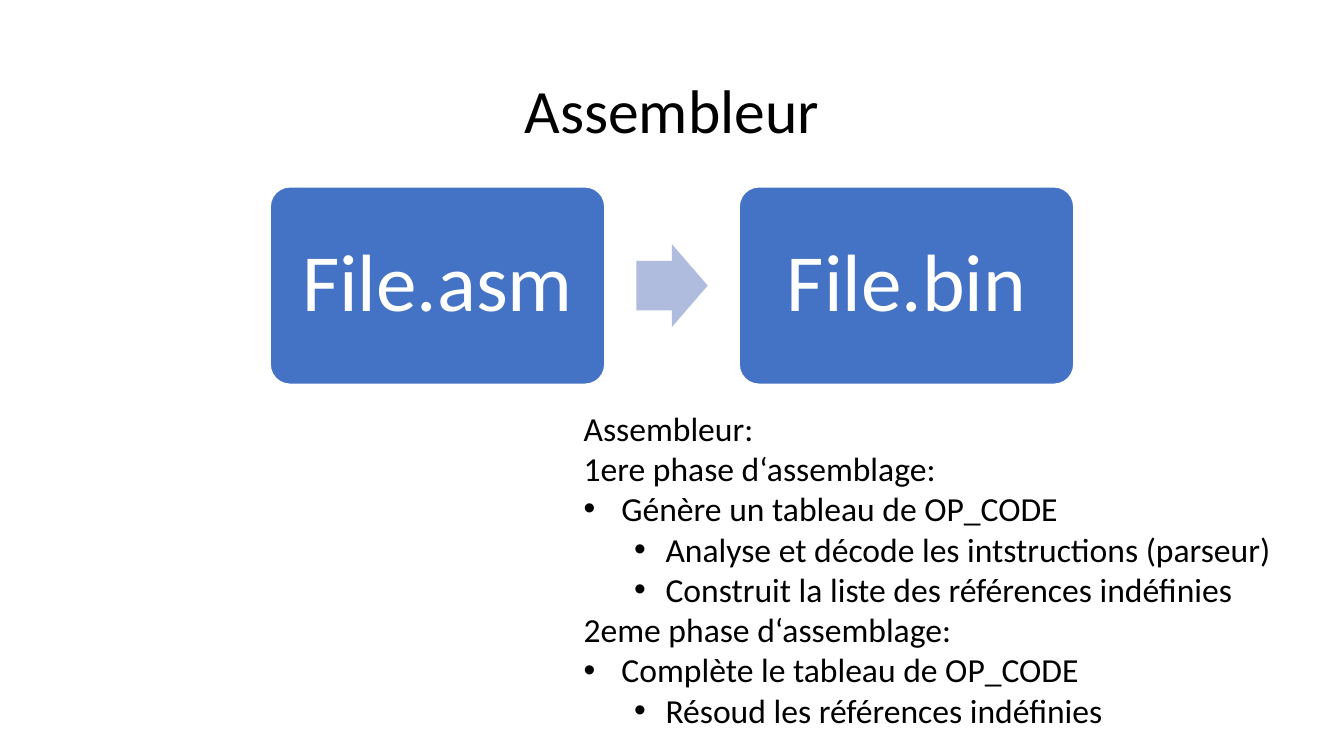
from lxml import etree
from pptx import Presentation
from pptx.dml.color import RGBColor
from pptx.enum import shapes, text
from pptx.oxml import ns
from pptx.util import Pt

BLACK = RGBColor(0, 0, 0)
WHITE = RGBColor(255, 255, 255)
BLUE = RGBColor(0x44, 0x72, 0xC4)
PALE = RGBColor(0xB0, 0xBC, 0xDE)
KIND = shapes.MSO_SHAPE
INDENTS = {1: (27, -27), 2: (58.5, -22.5)}
NOTES = [
    (0, "Assembleur:"),
    (0, "1ere phase d‘assemblage:"),
    (1, "Génère un tableau de OP_CODE"),
    (2, "Analyse et décode les intstructions (parseur)"),
    (2, "Construit la liste des références indéfinies"),
    (0, "2eme phase d‘assemblage:"),
    (1, "Complète le tableau de OP_CODE"),
    (2, "Résoud les références indéfinies"),
]


def apply(item, values):
    for name, value in values.items():
        setattr(item, name, value)


def style(para, size, color):
    apply(para.font, {"name": "Calibri", "size": Pt(size)})
    para.font.color.rgb = color


def center(shape, words, size, color):
    frame = shape.text_frame
    frame.text = words
    apply(frame, {"vertical_anchor": text.MSO_ANCHOR.MIDDLE})
    para = frame.paragraphs[0]
    apply(para, {"alignment": text.PP_ALIGN.CENTER, "line_spacing": 0.9})
    style(para, size, color)


def add_title(slide, left, top, width, height):
    title = slide.shapes.title
    apply(title, {"left": Pt(left), "top": Pt(top),
                  "width": Pt(width), "height": Pt(height)})
    center(title, "Assembleur", 44, BLACK)


def add_block(slide, kind, fill, ratios, box):
    shape = slide.shapes.add_shape(kind, *map(Pt, box))
    shape.shadow.inherit = False
    shape.fill.solid()
    shape.fill.fore_color.rgb = fill
    shape.line.fill.background()
    for index, ratio in enumerate(ratios):
        shape.adjustments[index] = ratio
    return shape


def add_flow(slide, left, top, width, height):
    card, wide, tall = 239, 51, 59
    step = width - card
    for index, label in enumerate(["File.asm", "File.bin"]):
        box = (left + index * step, top, card, height)
        shape = add_block(slide, KIND.ROUNDED_RECTANGLE, BLUE, [0.1], box)
        shape.line.color.rgb = WHITE
        shape.line.width = Pt(1)
        center(shape, label, 58, WHITE)
        apply(shape.text_frame, {"word_wrap": False, "margin_left": 0, "margin_right": 0})
    box = (left + (width - wide) / 2, top + (height - tall) / 2, wide, tall)
    add_block(slide, KIND.RIGHT_ARROW, PALE, [0.6, 0.5], box)


def add_bullet(para, level):
    margin, hang = INDENTS[level]
    props = para._p.get_or_add_pPr()
    props.set("marL", str(Pt(margin)))
    props.set("indent", str(Pt(hang)))
    font = etree.SubElement(props, ns.qn("a:buFont"))
    font.set("typeface", "Arial")
    mark = etree.SubElement(props, ns.qn("a:buChar"))
    mark.set("char", "•")


def add_notes(slide, left, top, width, height):
    box = slide.shapes.add_textbox(Pt(left), Pt(top), Pt(width), Pt(height))
    frame = box.text_frame
    frame.word_wrap = True
    for index, (level, words) in enumerate(NOTES):
        para = frame.add_paragraph() if index else frame.paragraphs[0]
        para.text = words
        if level:
            para.level = level - 1
            add_bullet(para, level)
        style(para, 24, BLACK)


def main():
    deck = Presentation()
    apply(deck, {"slide_width": Pt(960), "slide_height": Pt(540)})
    slide = deck.slides.add_slide(deck.slide_layouts[5])
    add_title(slide, 66, 28.75, 828, 104.4)
    add_flow(slide, 193, 133.5, 574, 141)
    add_notes(slide, 409.8, 287.5, 550, 363.5)
    deck.save("out.pptx")


if __name__ == "__main__":
    main()
